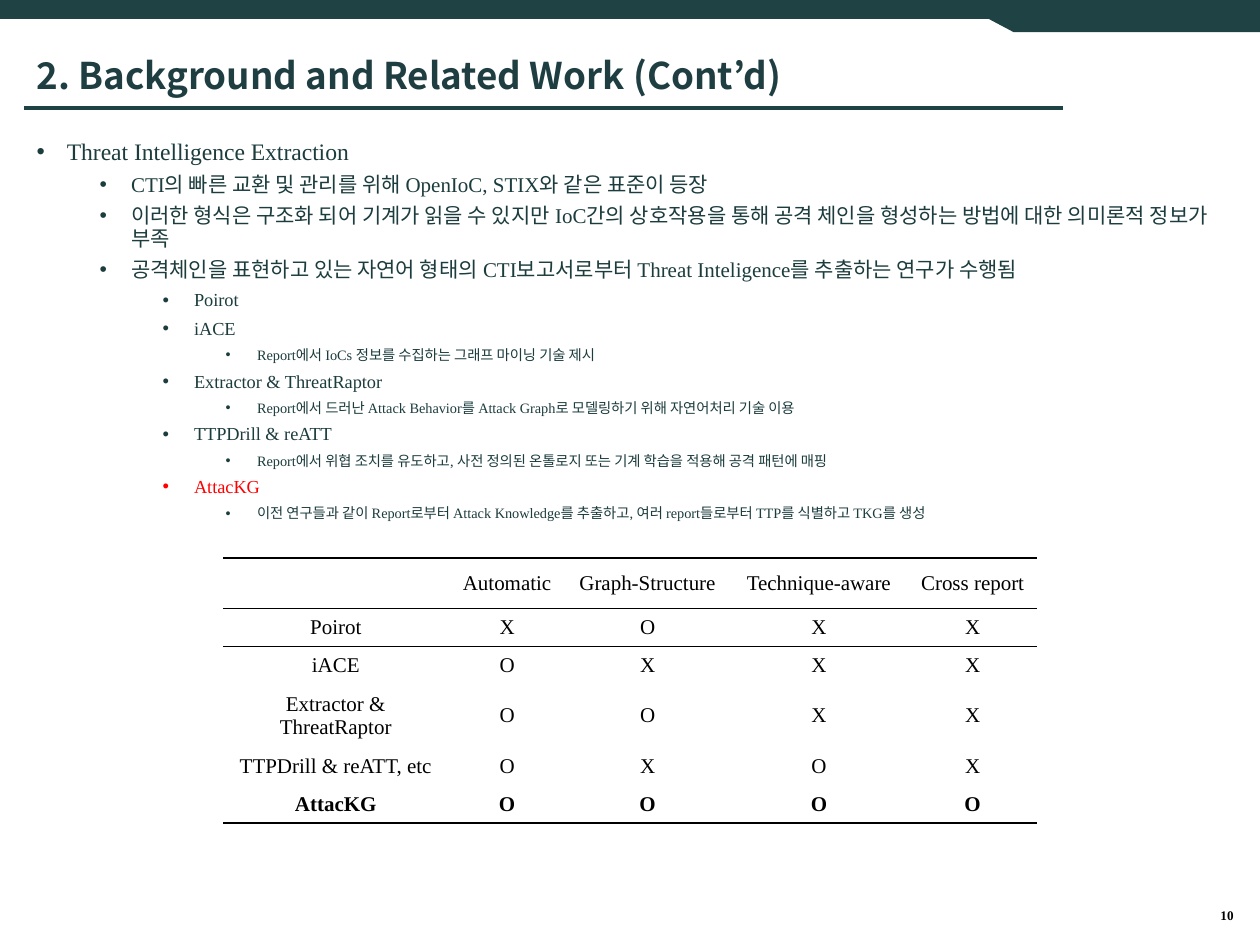
"""Build the slide on threat intelligence extraction."""
from dataclasses import dataclass

from lxml import etree
from pptx import Presentation
from pptx import util as u
from pptx.dml.color import RGBColor
from pptx.enum import shapes, text
from pptx.oxml.ns import qn

WIDE, HIGH = u.Inches(10), u.Inches(7.5)
BAND = RGBColor(0x1F, 0x43, 0x45)
HEAD = RGBColor(0x1E, 0x3E, 0x41)
BODY = RGBColor(0x1C, 0x3C, 0x3D)
RED = RGBColor(0xFF, 0x00, 0x00)
BLACK = RGBColor(0x00, 0x00, 0x00)
SERIF, SANS = "Times New Roman", "Noto Sans CJK KR"
PLAIN = "{2D5ABB26-0587-4C30-8999-92F81FD0307C}"
SIZES = (13.5, 12, 10.5, 8.2)


@dataclass(frozen=True)
class Box:
    """A frame in percent of the slide's width and height."""
    x: float
    y: float
    w: float
    h: float

    def emu(self) -> tuple[int, ...]:
        """Return left, top, width and height as lengths."""
        return tuple(int(part * side / 100) for part, side in
                     zip((self.x, self.y, self.w, self.h), (WIDE, HIGH) * 2))


@dataclass(frozen=True)
class Item:
    """A bullet with its level and colour."""
    level: int
    words: str
    color: RGBColor = BODY


ITEMS = (
    Item(0, "Threat Intelligence Extraction"),
    Item(1, "CTI의 빠른 교환 및 관리를 위해 OpenIoC, STIX와 같은 표준이 등장"),
    Item(1, "이러한 형식은 구조화 되어 기계가 읽을 수 있지만 IoC간의 상호작용을 통해 "
            "공격 체인을 형성하는 방법에 대한 의미론적 정보가 부족"),
    Item(1, "공격체인을 표현하고 있는 자연어 형태의 CTI보고서로부터 "
            "Threat Inteligence를 추출하는 연구가 수행됨"),
    Item(2, "Poirot"),
    Item(2, "iACE"),
    Item(3, "Report에서 IoCs 정보를 수집하는 그래프 마이닝 기술 제시"),
    Item(2, "Extractor & ThreatRaptor"),
    Item(3, "Report에서 드러난 Attack Behavior를 Attack Graph로 모델링하기 위해 "
            "자연어처리 기술 이용"),
    Item(2, "TTPDrill & reATT"),
    Item(3, "Report에서 위협 조치를 유도하고, 사전 정의된 온톨로지 또는 "
            "기계 학습을 적용해 공격 패턴에 매핑"),
    Item(2, "AttacKG", RED),
    Item(3, "이전 연구들과 같이 Report로부터 Attack Knowledge를 추출하고, "
            "여러 report들로부터 TTP를 식별하고 TKG를 생성"),
)
COLS = (17.9, 9.3, 13, 14.2, 10.2)
ROWS = (
    ("", "Automatic", "Graph-Structure", "Technique-aware", "Cross report"),
    ("Poirot", *"XOXX"),
    ("iACE", *"OXXX"),
    ("Extractor & ThreatRaptor", *"OOXX"),
    ("TTPDrill & reATT, etc", *"OXOX"),
    ("AttacKG", *"OOOO"),
)
RULES = {0: {"T": 1, "B": 0.75}, 1: {"T": 0.75}, len(ROWS) - 1: {"B": 1}}


def put(para, words: str, *, size: float, color: RGBColor = BLACK,
        face: str = SERIF, bold: bool = False, align=text.PP_ALIGN.LEFT) -> None:
    """Write formatted words into a paragraph."""
    para.alignment = align
    run = para.add_run()
    run.text = words
    font = run.font
    font.size, font.name, font.bold = u.Pt(size), face, bold
    font.color.rgb = color
    latin = run._r.rPr.find(qn("a:latin"))
    east = etree.Element(qn("a:ea"), typeface=SANS)
    latin.addnext(east)


def place(shape, box: Box) -> None:
    """Move a shape to a box."""
    shape.left, shape.top, shape.width, shape.height = box.emu()


def band(slide, kind, box: Box, turn: int = 0) -> None:
    """Draw a solid part of the top banner."""
    part = slide.shapes.add_shape(kind, *box.emu())
    part.rotation = turn
    part.shadow.inherit = False
    part.fill.solid()
    part.fill.fore_color.rgb = BAND
    part.line.fill.background()


def rule(slide, x: float, y: float, end: float) -> None:
    """Draw the line below the title."""
    left, top, span, _ = Box(x, y, end - x, 0).emu()
    line = slide.shapes.add_connector(
        shapes.MSO_CONNECTOR.STRAIGHT, left, top, left + span, top)
    line.line.color.rgb = BAND
    line.line.width = u.Pt(2.25)
    etree.SubElement(line._element.spPr, qn("a:effectLst"))


def title(shape, words: str) -> None:
    """Fill the title placeholder."""
    place(shape, Box(1.9, 5.2, 82.5, 6))
    frame = shape.text_frame
    frame.auto_size = text.MSO_AUTO_SIZE.NONE
    frame.vertical_anchor = text.MSO_ANCHOR.MIDDLE
    para = frame.paragraphs[0]
    para.line_spacing = 0.9
    put(para, words, size=21, color=HEAD, face=SANS, bold=True)


def bullets(shape, items: tuple[Item, ...]) -> None:
    """Fill the body placeholder with nested bullets."""
    place(shape, Box(1.9, 14.13, 96.2, 75.33))
    frame = shape.text_frame
    frame.auto_size = text.MSO_AUTO_SIZE.NONE
    for n, item in enumerate(items):
        para = frame.add_paragraph() if n else frame.paragraphs[0]
        para.level = item.level
        para.line_spacing = 0.9
        para.space_before = u.Pt(5 if n else 0)
        hang = 0.25 if item.level else 0.24
        props = para._p.get_or_add_pPr()
        props.set("marL", str(u.Inches(hang + item.level / 2)))
        props.set("indent", str(-u.Inches(hang)))
        etree.SubElement(props, qn("a:buFont"), typeface="Arial")
        etree.SubElement(props, qn("a:buChar"), char="•")
        put(para, item.words, size=SIZES[item.level], color=item.color)


def edge(cell, side: str, width: float) -> None:
    """Draw one border of a cell."""
    props = cell._tc.get_or_add_tcPr()
    line = etree.SubElement(props, qn(f"a:ln{side}"), w=str(u.Pt(width)))
    fill = etree.SubElement(line, qn("a:solidFill"))
    etree.SubElement(fill, qn("a:srgbClr"), val=str(BLACK))


def grid(slide, box: Box) -> None:
    """Draw the table of related work."""
    table = slide.shapes.add_table(len(ROWS), len(COLS), *box.emu()).table
    table.first_row = table.horz_banding = False
    table._tbl.tblPr.find(qn("a:tableStyleId")).text = PLAIN
    for col, share in zip(table.columns, COLS):
        col.width = int(WIDE * share / 100)
    for r, row in enumerate(ROWS):
        for c, words in enumerate(row):
            cell = table.cell(r, c)
            cell.vertical_anchor = text.MSO_ANCHOR.MIDDLE
            for side, width in RULES.get(r, {}).items():
                edge(cell, side, width)
            cell.fill.background()
            if words:
                put(cell.text_frame.paragraphs[0], words, size=12,
                    bold=r == len(ROWS) - 1, align=text.PP_ALIGN.CENTER)


def number(slide, words: str) -> None:
    """Write the page number."""
    frame = slide.shapes.add_textbox(*Box(92.3, 95.73, 6.6, 2.27).emu()).text_frame
    frame.word_wrap = True
    frame.vertical_anchor = text.MSO_ANCHOR.MIDDLE
    put(frame.paragraphs[0], words, size=7.5, bold=True, align=text.PP_ALIGN.RIGHT)


def main() -> None:
    """Build and save the slide."""
    deck = Presentation()
    deck.slide_width, deck.slide_height = WIDE, HIGH
    slide = deck.slides.add_slide(deck.slide_layouts[1])
    rule(slide, 1.9, 11.47, 84.4)
    band(slide, shapes.MSO_SHAPE.RECTANGLE, Box(0, 0, 100, 2))
    band(slide, shapes.MSO_SHAPE.FLOWCHART_MANUAL_INPUT,
         Box(86.5, -14.67, 2.6, 32.67), 270)
    title(slide.shapes.title, "2. Background and Related Work (Cont’d)")
    bullets(slide.placeholders[1], ITEMS)
    number(slide, "10")
    grid(slide, Box(17.7, 59.07, 64.6, 24))
    deck.save("out.pptx")


if __name__ == "__main__":
    main()
